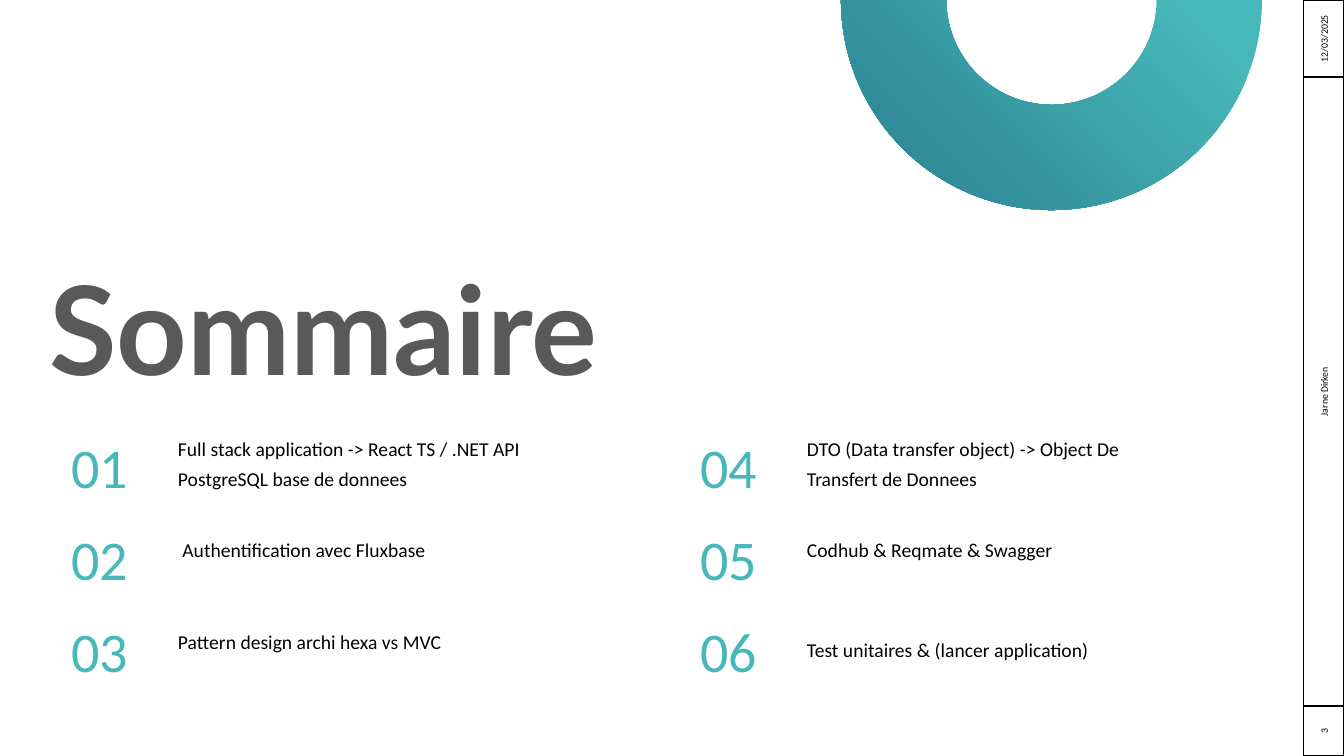
from dataclasses import dataclass

from pptx import Presentation
from pptx.dml.color import RGBColor
from pptx.enum.shapes import MSO_SHAPE
from pptx.enum.text import MSO_ANCHOR, MSO_AUTO_SIZE, PP_ALIGN
from pptx.util import Emu, Pt

LEFT, CENTER = PP_ALIGN.LEFT, PP_ALIGN.CENTER
TOP, MIDDLE = MSO_ANCHOR.TOP, MSO_ANCHOR.MIDDLE
FIXED, GROW = MSO_AUTO_SIZE.NONE, MSO_AUTO_SIZE.SHAPE_TO_FIT_TEXT
RECTANGLE, BLOCK_ARC = MSO_SHAPE.RECTANGLE, MSO_SHAPE.BLOCK_ARC
TITLE_ONLY = 5
EMU_PER_PX = 914400 / 100.8
PAGE_WIDTH, PAGE_HEIGHT = 1344, 756


@dataclass(frozen=True)
class Theme:
    """Colours, fonts and type sizes of the deck."""
    teal: str = "47B8BA"
    deep_teal: str = "2B7F91"
    grey: str = "595959"
    black: str = "000000"
    heading_font: str = "Lato"
    body_font: str = "Calibri"
    title_size: int = 88
    number_size: int = 40
    caption_size: int = 14
    rail_size: int = 7


def px(length):
    """Turn pixels into EMU."""
    return Emu(round(length * EMU_PER_PX))


def apply(target, values):
    """Set each named attribute on the target."""
    for name, value in values.items():
        setattr(target, name, value)


class AgendaPage:
    """Draws the agenda elements on one page in one style."""

    def __init__(self, page, theme):
        """Keep the page and its theme."""
        self.page = page
        self.theme = theme

    def fill_text(self, box, text, size, color, font=None, bold=False, align=LEFT,
                  spacing=1.0, anchor=MIDDLE, insets=(0, 0, 0, 0), fit=FIXED):
        """Put one formatted paragraph into a box."""
        frame = box.text_frame
        margins = ("margin_left", "margin_top", "margin_right", "margin_bottom")
        apply(frame, dict(zip(margins, map(px, insets))))
        apply(frame, {"word_wrap": True, "auto_size": fit, "vertical_anchor": anchor})
        para = frame.paragraphs[0]
        apply(para, {"alignment": align, "line_spacing": spacing, "space_before": Pt(0)})
        span = para.add_run()
        span.text = text
        apply(span.font, {"name": font or self.theme.body_font, "size": Pt(size), "bold": bold})
        span.font.color.rgb = RGBColor.from_string(color)

    def title(self, text, left, top, width, height):
        """Place and fill the title placeholder."""
        box = self.page.shapes.title
        place = {"left": left, "top": top, "width": width, "height": height}
        apply(box, {name: px(value) for name, value in place.items()})
        self.fill_text(box, text, self.theme.title_size, self.theme.grey,
                       font=self.theme.heading_font, bold=True, spacing=0.9)

    def label(self, text, left, top, width, height, **style):
        """Add a text box of agenda text."""
        box = self.page.shapes.add_textbox(*map(px, (left, top, width, height)))
        self.fill_text(box, text, spacing=1.28, fit=GROW, **style)

    def entry(self, number, text, left, top, offset, height):
        """Add an agenda number and its caption."""
        self.label(text, left + 120, top + offset, 399, height,
                   size=self.theme.caption_size, color=self.theme.black,
                   insets=(10, 2, 12, 5))
        self.label(f"{number:02d}", left, top, 103, 82,
                   size=self.theme.number_size, color=self.theme.teal,
                   align=CENTER, anchor=TOP)

    def half_ring(self, left, top, size):
        """Add the gradient half ring."""
        ring = self.page.shapes.add_shape(BLOCK_ARC, *map(px, (left, top, size, size)))
        ring.rotation = 180
        ring.shadow.inherit = False
        ring.line.fill.background()
        ring.fill.gradient()
        ring.fill.gradient_angle = 45
        stops = ((0.34, self.theme.teal), (0.99, self.theme.deep_teal))
        for stop, (position, color) in zip(ring.fill.gradient_stops, stops):
            stop.position = position
            stop.color.rgb = RGBColor.from_string(color)

    def rail_panel(self, text, top, bottom, thickness=40):
        """Add a panel of the right rail with its text turned upwards."""
        length = bottom - top
        left = PAGE_WIDTH - (thickness + length) / 2
        middle = (top + bottom - thickness) / 2
        panel = self.page.shapes.add_shape(
            RECTANGLE, *map(px, (left, middle, length, thickness)))
        panel.rotation = 270
        panel.shadow.inherit = False
        panel.fill.background()
        panel.line.width = Pt(0.75)
        panel.line.color.rgb = RGBColor.from_string(self.theme.black)
        self.fill_text(panel, text, self.theme.rail_size, self.theme.black,
                       align=CENTER, insets=(10, 5, 10, 5))


def main():
    """Build and save the agenda deck."""
    deck = Presentation()
    apply(deck, {"slide_width": px(PAGE_WIDTH), "slide_height": px(PAGE_HEIGHT)})
    page = deck.slides.add_slide(deck.slide_layouts[TITLE_ONLY])
    agenda = AgendaPage(page, Theme())

    agenda.half_ring(841, -211, 421)
    agenda.title("Sommaire", 49, 294, 752, 84)

    entries = (
        ("Full stack application -> React TS / .NET API PostgreSQL base de donnees", 15, 66),
        (" Authentification avec Fluxbase", 25, 34),
        ("Pattern design archi hexa vs MVC", 25, 34),
        ("DTO (Data transfer object) -> Object De Transfert de Donnees", 15, 66),
        ("Codhub & Reqmate & Swagger", 25, 34),
        ("Test unitaires & (lancer application)", 33, 34),
    )
    for index, (text, offset, height) in enumerate(entries):
        column, row = divmod(index, 3)
        agenda.entry(index + 1, text, 48 + 629 * column, 414 + 92 * row, offset, height)

    rail_edges = (0, 77, 706, PAGE_HEIGHT)
    for text, top, bottom in zip(("12/03/2025", "Jarne Dirken", "3"), rail_edges, rail_edges[1:]):
        agenda.rail_panel(text, top, bottom)

    deck.save("out.pptx")


if __name__ == "__main__":
    main()
